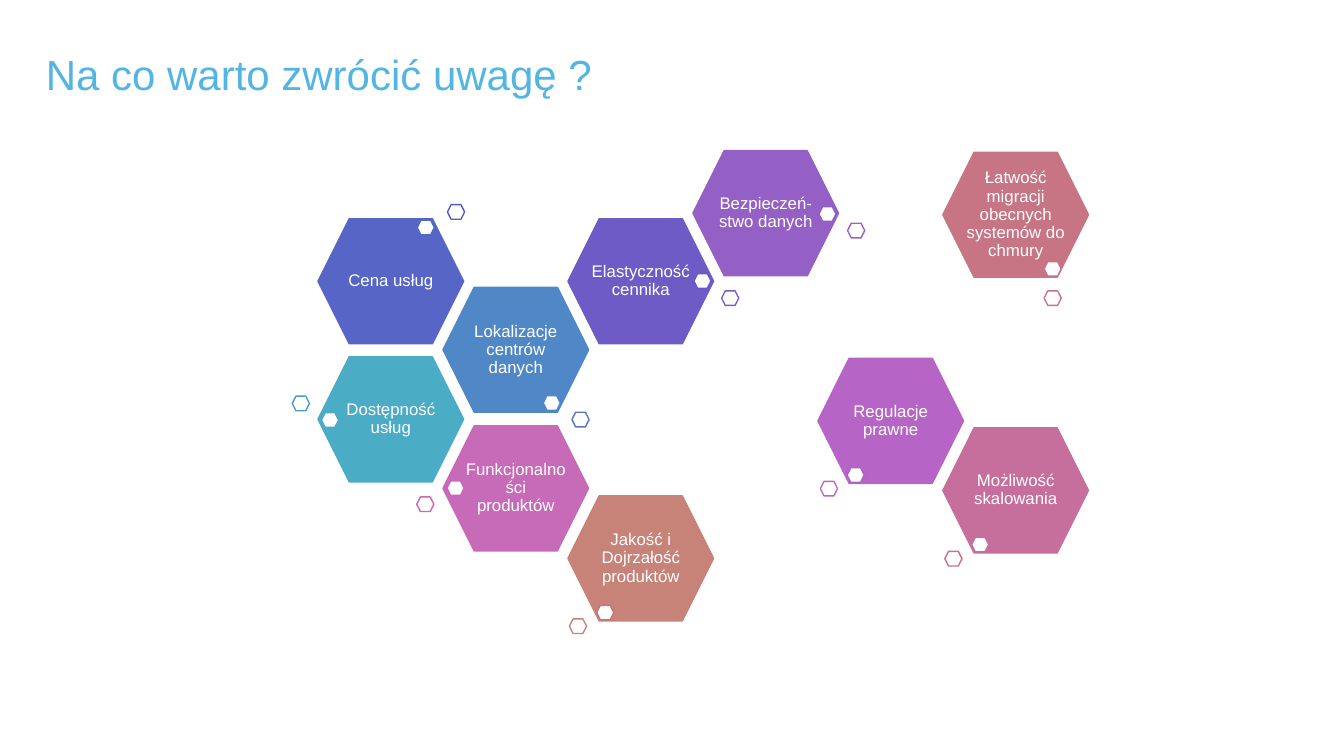
from dataclasses import dataclass

import pptx
import pptx.dml.color
import pptx.enum.shapes
import pptx.enum.text
import pptx.util

Inches = pptx.util.Inches


@dataclass(frozen=True)
class Theme:
    font: str = "Arial"
    title_size: int = 60
    label_size: int = 24
    line_width: int = 2
    title: str = "52B5E4"
    white: str = "FFFFFF"


@dataclass(frozen=True)
class Marker:
    left: float
    top: float
    line: str


@dataclass(frozen=True)
class Topic:
    label: str
    column: int
    top: float
    color: str
    inner: Marker
    outer: Marker


THEME = Theme()
FIRST_LEFT, COLUMN_PITCH = 6.31, 2.48
TOPIC_SIZE = (2.89, 2.48)
MARKER_SIZE = (0.34, 0.29)

TOPICS = [
    Topic("Dostępność usług", 0, 7.08, "4BACC6",
          Marker(6.38, 8.19, "4BACC6"), Marker(5.8, 7.86, "4E9AC6")),
    Topic("Lokalizacje centrów danych", 1, 5.7, "5087C6",
          Marker(10.78, 7.85, "5089C6"), Marker(11.35, 8.18, "5278C6")),
    Topic("Cena usług", 0, 4.34, "5665C6",
          Marker(8.28, 4.37, "5569C6"), Marker(8.88, 4.06, "575AC6")),
    Topic("Elastyczność cennika", 2, 4.34, "6E5BC6",
          Marker(13.77, 5.43, "685AC6"), Marker(14.32, 5.77, "7B5CC6")),
    Topic("Bezpieczeń-stwo danych", 3, 2.99, "9460C6",
          Marker(16.25, 4.1, "8C5FC6"), Marker(16.82, 4.43, "9D61C6")),
    Topic("Regulacje prawne", 4, 7.11, "B665C6",
          Marker(16.81, 9.28, "AD63C6"), Marker(16.28, 9.55, "BD66C6")),
    Topic("Funkcjonalności produktów", 1, 8.45, "C76AB8",
          Marker(8.87, 9.54, "C668C1"), Marker(8.27, 9.86, "C76BB3")),
    Topic("Możliwość skalowania", 5, 8.49, "C76F9C",
          Marker(19.28, 10.66, "C76DA6"), Marker(18.75, 10.94, "C76F9A")),
    Topic("Łatwość migracji obecnych systemów do chmury", 5, 3.02, "C77484",
          Marker(20.72, 5.19, "C7728E"), Marker(20.72, 5.77, "C77483")),
    Topic("Jakość i Dojrzałość produktów", 2, 9.84, "C88378",
          Marker(11.84, 12.01, "C77678"), Marker(11.3, 12.28, "C88378")),
]


def rgb(color: str) -> pptx.dml.color.RGBColor:
    return pptx.dml.color.RGBColor.from_string(color)


def write_text(shape, text: str, size: int, color: str,
               vertical_inset: float = 0):
    """Fill the shape with one paragraph and return that paragraph."""
    frame = shape.text_frame
    frame.word_wrap = True
    frame.margin_left = frame.margin_right = Inches(0)
    frame.margin_top = frame.margin_bottom = Inches(vertical_inset)
    paragraph = frame.paragraphs[0]
    paragraph.text = text
    paragraph.font.name = THEME.font
    paragraph.font.size = pptx.util.Pt(size)
    paragraph.font.color.rgb = rgb(color)
    return paragraph


def add_hexagon(slide, left: float, top: float, size: tuple[float, float],
                fill: str, line: str):
    width, height = size
    shape = slide.shapes.add_shape(
        pptx.enum.shapes.MSO_SHAPE.HEXAGON,
        Inches(left), Inches(top), Inches(width), Inches(height))
    shape.shadow.inherit = False
    shape.fill.solid()
    shape.fill.fore_color.rgb = rgb(fill)
    shape.line.color.rgb = rgb(line)
    shape.line.width = pptx.util.Pt(THEME.line_width)
    return shape


def add_topic(slide, topic: Topic) -> None:
    """Draw a labelled hexagon with its two small markers."""
    left = FIRST_LEFT + topic.column * COLUMN_PITCH
    shape = add_hexagon(slide, left, topic.top, TOPIC_SIZE,
                        topic.color, topic.color)
    paragraph = write_text(shape, topic.label, THEME.label_size,
                           THEME.white, vertical_inset=0.03)
    paragraph.alignment = pptx.enum.text.PP_ALIGN.CENTER
    paragraph.line_spacing = 0.9
    shape.text_frame.vertical_anchor = pptx.enum.text.MSO_ANCHOR.MIDDLE
    for marker in (topic.inner, topic.outer):
        add_hexagon(slide, marker.left, marker.top, MARKER_SIZE,
                    THEME.white, marker.line)


def add_title(slide, text: str) -> None:
    title = slide.shapes.add_textbox(
        Inches(0.91), Inches(0.91), Inches(18.44), Inches(1.06))
    write_text(title, text, THEME.title_size, THEME.title)
    title.text_frame.vertical_anchor = pptx.enum.text.MSO_ANCHOR.BOTTOM


def main() -> None:
    presentation = pptx.Presentation()
    presentation.slide_width = Inches(26.67)
    presentation.slide_height = Inches(15)
    slide = presentation.slides.add_slide(presentation.slide_layouts[6])
    add_title(slide, "Na co warto zwrócić uwagę ?")
    for topic in TOPICS:
        add_topic(slide, topic)
    presentation.save("out.pptx")


if __name__ == "__main__":
    main()
